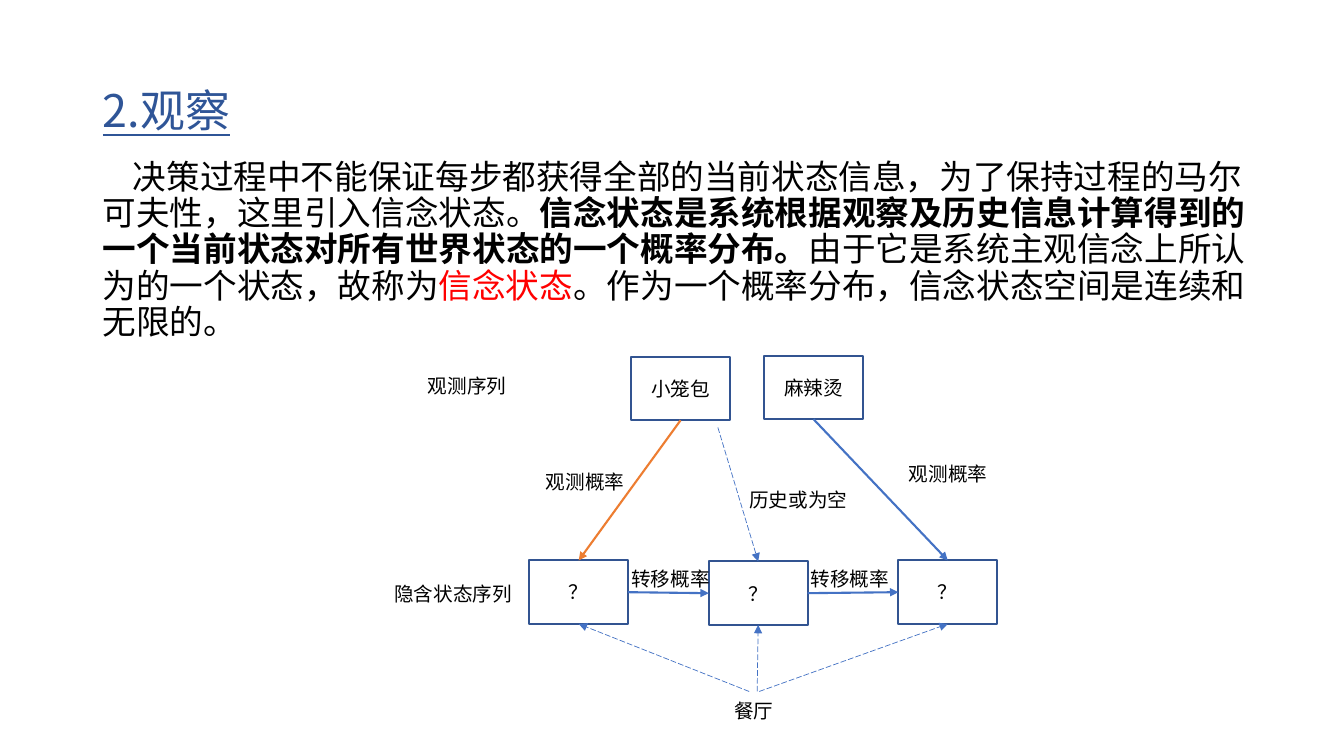
from lxml import etree
from pptx import Presentation
from pptx.dml.color import RGBColor
from pptx.enum.dml import MSO_LINE
from pptx.enum.shapes import MSO_CONNECTOR, MSO_SHAPE
from pptx.enum.text import MSO_ANCHOR, PP_ALIGN
from pptx.oxml.ns import qn
from pptx.util import Inches, Pt

FONT = "Noto Sans CJK SC"
TITLE_BLUE = RGBColor(0x2F, 0x55, 0x97)
BOX_BLUE = RGBColor(0x32, 0x54, 0x91)
ARROW_BLUE = RGBColor(0x44, 0x72, 0xC4)
ORANGE = RGBColor(0xED, 0x7D, 0x31)
BLACK = RGBColor(0, 0, 0)
RED = RGBColor(0xFF, 0, 0)

STRAIGHT = MSO_CONNECTOR.STRAIGHT
RECTANGLE = MSO_SHAPE.RECTANGLE
LONG_DASH = MSO_LINE.LONG_DASH
MIDDLE = MSO_ANCHOR.MIDDLE
TOP_ANCHOR = MSO_ANCHOR.TOP
LEFT_ALIGN = PP_ALIGN.LEFT
CENTER = PP_ALIGN.CENTER
TOP, LEFT, BOTTOM, RIGHT = range(4)

BOX_WIDTH, BOX_HEIGHT = 0.98, 0.63

BODY_RUNS = [
    ("决策过程中不能保证每步都获得全部的当前状态信息，为了保持过程的马尔可夫性，这里引入信念状态。", False, BLACK),
    ("信念状态是系统根据观察及历史信息计算得到的一个当前状态对所有世界状态的一个概率分布。", True, BLACK),
    ("由于它是系统主观信念上所认为的一个状态，故称为", False, BLACK),
    ("信念状态", False, RED),
    ("。作为一个概率分布，信念状态空间是连续和无限的。", False, BLACK),
]

LABELS = [
    ("观测序列", 4.05, 3.51, 1.17, 0.63),
    ("隐含状态序列", 3.77, 5.57, 1.45, 0.63),
    ("观测概率", 5.22, 4.46, 1.17, 0.63),
    ("观测概率", 8.82, 4.38, 1.17, 0.63),
    ("历史或为空", 7.1, 4.64, 1.64, 0.63),
    ("转移概率", 6.11, 5.54, 1.08, 0.41),
    ("转移概率", 7.89, 5.54, 1.08, 0.41),
    ("餐厅", 7.13, 6.81, 0.69, 0.49),
]


def format_paragraph(paragraph, size, color, alignment):
    paragraph.alignment = alignment
    font = paragraph.font
    font.size = Pt(size)
    font.color.rgb = color
    font.name = FONT
    defaults = paragraph._p.pPr.find(qn("a:defRPr"))
    etree.SubElement(defaults, qn("a:ea")).set("typeface", FONT)


def place(shape, left, top, width, height):
    shape.left, shape.top = Inches(left), Inches(top)
    shape.width, shape.height = Inches(width), Inches(height)


def add_title(slide, text):
    title = slide.shapes.title
    place(title, 0.92, 0.4, 11.5, 1.45)
    title.text_frame.vertical_anchor = MIDDLE
    paragraph = title.text_frame.paragraphs[0]
    paragraph.text = text
    paragraph.line_spacing = 0.9
    format_paragraph(paragraph, 32, TITLE_BLUE, LEFT_ALIGN)
    paragraph.font.underline = True


def add_text_box(slide, left, top, width, height, anchor):
    box = slide.shapes.add_textbox(
        Inches(left), Inches(top), Inches(width), Inches(height))
    box.text_frame.word_wrap = True
    box.text_frame.vertical_anchor = anchor
    return box.text_frame


def add_body(slide):
    paragraph = add_text_box(slide, 0.92, 1.54, 11.58, 5.75, TOP_ANCHOR).paragraphs[0]
    paragraph.line_spacing = 0.9
    paragraph._p.get_or_add_pPr().set("indent", str(Inches(0.3)))
    format_paragraph(paragraph, 24, BLACK, LEFT_ALIGN)
    for text, bold, color in BODY_RUNS:
        run = paragraph.add_run()
        run.text = text
        run.font.bold = bold
        run.font.color.rgb = color


def add_label(slide, text, left, top, width, height):
    paragraph = add_text_box(slide, left, top, width, height, MIDDLE).paragraphs[0]
    paragraph.text = text
    format_paragraph(paragraph, 14, BLACK, CENTER)


def add_box(slide, text, left, top):
    box = slide.shapes.add_shape(
        RECTANGLE, Inches(left), Inches(top), Inches(BOX_WIDTH), Inches(BOX_HEIGHT))
    box.shadow.inherit = False
    box.fill.background()
    box.line.color.rgb = BOX_BLUE
    box.line.width = Pt(1.5)
    box.text_frame.vertical_anchor = MIDDLE
    paragraph = box.text_frame.paragraphs[0]
    paragraph.text = text
    format_paragraph(paragraph, 14, BLACK, CENTER)
    return box


def add_arrow(slide, start, end, color=ARROW_BLUE, dashed=False):
    """Draw an arrow to end, a (box, side) pair; start is such a pair or a point in inches."""
    arrow = slide.shapes.add_connector(STRAIGHT, 0, 0, 0, 0)
    if isinstance(start[0], float):
        arrow.begin_x, arrow.begin_y = Inches(start[0]), Inches(start[1])
    else:
        arrow.begin_connect(*start)
    arrow.end_connect(*end)
    arrow.line.color.rgb = color
    arrow.line.width = Pt(0.5 if dashed else 1.5)
    if dashed:
        arrow.line.dash_style = LONG_DASH
    etree.SubElement(arrow.line._get_or_add_ln(), qn("a:tailEnd")).set("type", "triangle")
    etree.SubElement(arrow._element.spPr, qn("a:effectLst"))


def main():
    presentation = Presentation()
    presentation.slide_width = Inches(13.33)
    presentation.slide_height = Inches(7.5)
    slide = presentation.slides.add_slide(presentation.slide_layouts[5])

    add_title(slide, "2.观察")
    add_body(slide)

    dumpling = add_box(slide, "小笼包", 6.26, 3.54)
    hotpot = add_box(slide, "麻辣烫", 7.58, 3.53)
    states = [add_box(slide, "？", left, top)
              for left, top in [(5.25, 5.56), (7.03, 5.57), (8.91, 5.56)]]
    first, middle, last = states

    add_arrow(slide, (dumpling, BOTTOM), (first, TOP), ORANGE)
    add_arrow(slide, (hotpot, BOTTOM), (last, TOP))
    add_arrow(slide, (7.12, 4.24), (middle, TOP), dashed=True)
    for source, target in zip(states, states[1:]):
        add_arrow(slide, (source, RIGHT), (target, LEFT))
    for state, restaurant_x in zip(states, (7.43, 7.51, 7.53)):
        add_arrow(slide, (restaurant_x, 6.86), (state, BOTTOM), dashed=True)

    for label in LABELS:
        add_label(slide, *label)

    presentation.save("out.pptx")


if __name__ == "__main__":
    main()
